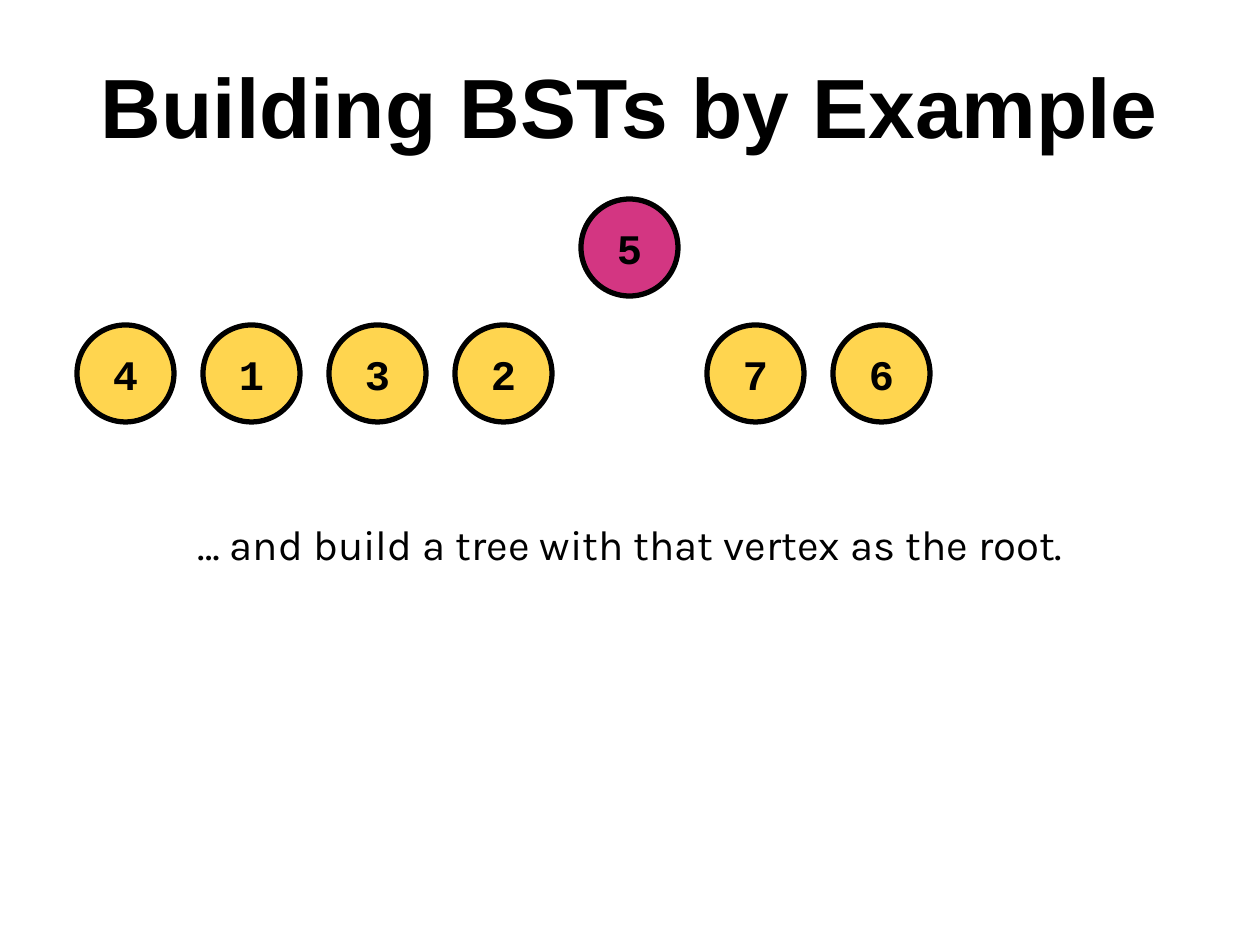
from dataclasses import dataclass

import pptx
import pptx.dml.color
import pptx.enum.shapes
import pptx.enum.text
import pptx.util

PX = pptx.util.Inches(1) // 126
BLACK = pptx.dml.color.RGBColor(0x00, 0x00, 0x00)
YELLOW = pptx.dml.color.RGBColor(0xFF, 0xD5, 0x4F)
MAGENTA = pptx.dml.color.RGBColor(0xD3, 0x36, 0x82)

INSET = 13
DIAMETER = 97
PITCH = 126
FIRST_LEFT = 77
ROOT_TOP = 199


@dataclass(frozen=True)
class Vertex:
    label: str
    column: int
    row: int = 1
    fill: pptx.dml.color.RGBColor = YELLOW


VERTICES = [
    Vertex("5", 4, row=0, fill=MAGENTA),
    Vertex("4", 0),
    Vertex("1", 1),
    Vertex("3", 2),
    Vertex("2", 3),
    Vertex("7", 5),
    Vertex("6", 6),
]


def write_text(
    shape,
    text: str,
    *,
    font: str,
    size: int,
    bold: bool = False,
    anchor=pptx.enum.text.MSO_ANCHOR.TOP,
) -> None:
    frame = shape.text_frame
    frame.word_wrap = True
    frame.vertical_anchor = anchor
    frame.margin_left = frame.margin_right = INSET * PX
    frame.margin_top = frame.margin_bottom = INSET * PX
    para = frame.paragraphs[0]
    para.alignment = pptx.enum.text.PP_ALIGN.CENTER
    span = para.add_run()
    span.text = text
    span.font.name = font
    span.font.size = pptx.util.Pt(size)
    span.font.bold = bold
    span.font.color.rgb = BLACK


def add_box(page, left: int, top: int, width: int, height: int):
    return page.shapes.add_textbox(left * PX, top * PX, width * PX, height * PX)


def draw_vertex(page, vertex: Vertex) -> None:
    circle = page.shapes.add_shape(
        pptx.enum.shapes.MSO_SHAPE.OVAL,
        (FIRST_LEFT + vertex.column * PITCH) * PX,
        (ROOT_TOP + vertex.row * PITCH) * PX,
        DIAMETER * PX,
        DIAMETER * PX,
    )
    circle.shadow.inherit = False
    circle.fill.solid()
    circle.fill.fore_color.rgb = vertex.fill
    circle.line.color.rgb = BLACK
    circle.line.width = pptx.util.Pt(3)
    write_text(circle, vertex.label, font="Courier New", size=24, bold=True,
               anchor=pptx.enum.text.MSO_ANCHOR.MIDDLE)


def main() -> None:
    deck = pptx.Presentation()
    deck.slide_width = 1260 * PX
    deck.slide_height = 945 * PX
    page = deck.slides.add_slide(deck.slide_layouts[6])

    title = add_box(page, 0, 42, 1260, 158)
    write_text(title, "Building BSTs by Example", font="Arial", size=48, bold=True)
    caption = add_box(page, 84, 506, 1092, 75)
    write_text(caption, "… and build a tree with that vertex as the root.",
               font="Karla", size=24)

    for vertex in VERTICES:
        draw_vertex(page, vertex)

    deck.save("out.pptx")


if __name__ == "__main__":
    main()
